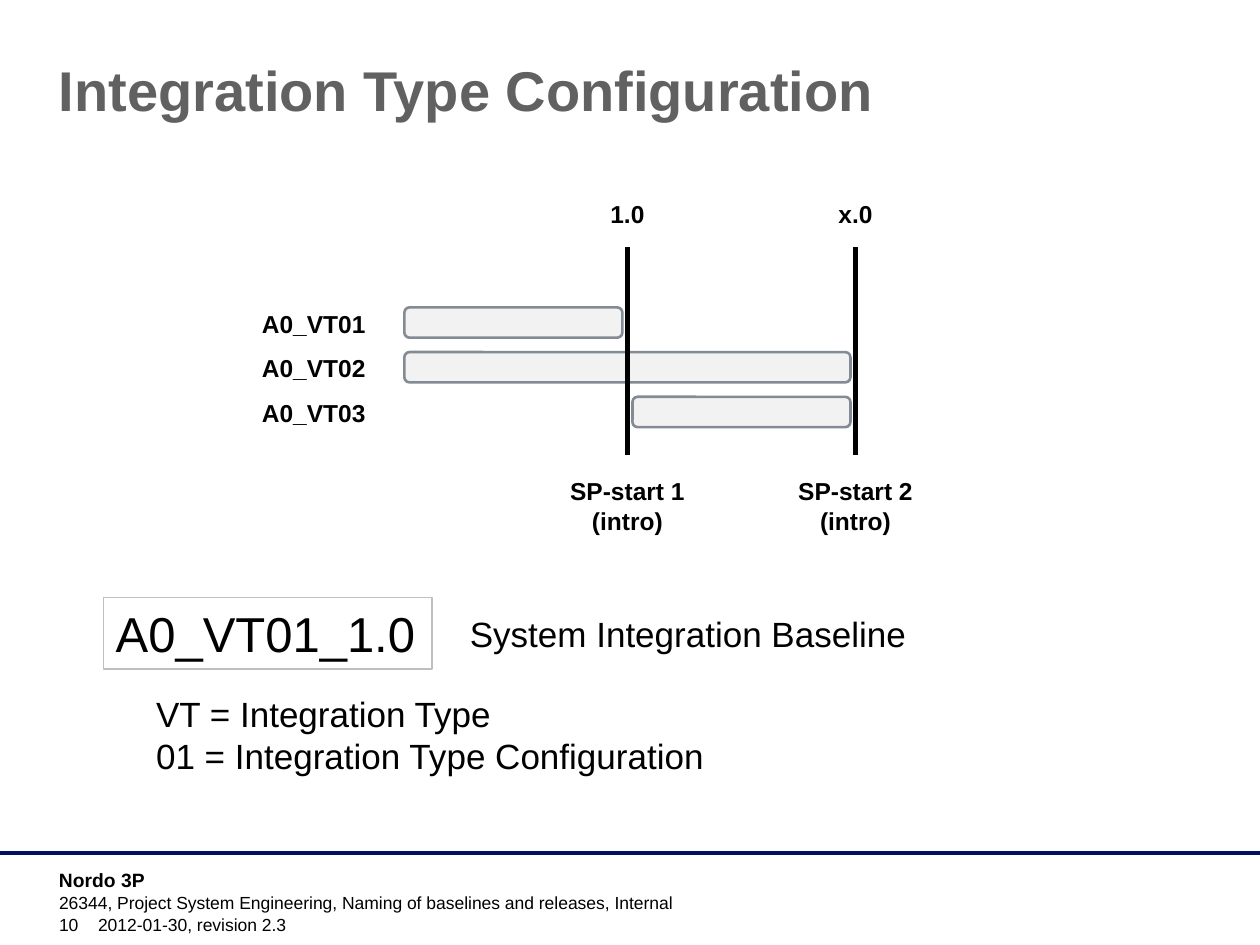
from dataclasses import dataclass

from lxml import etree
from pptx import Presentation
from pptx.dml.color import RGBColor
from pptx.enum.shapes import MSO_CONNECTOR, MSO_SHAPE
from pptx.enum.text import MSO_ANCHOR, PP_ALIGN
from pptx.oxml.ns import qn
from pptx.util import Inches, Pt

BLACK = RGBColor(0x00, 0x00, 0x00)
NAVY = RGBColor(0x00, 0x0F, 0x60)
TITLE_GREY = RGBColor(0x61, 0x61, 0x61)
BAR_FILL = RGBColor(0xF2, 0xF2, 0xF2)
BAR_LINE = RGBColor(0x83, 0x8B, 0x94)
BOX_LINE = RGBColor(0xBF, 0xBF, 0xBF)
LEFT, CENTER = PP_ALIGN.LEFT, PP_ALIGN.CENTER
TOP, BOTTOM = MSO_ANCHOR.TOP, MSO_ANCHOR.BOTTOM
STRAIGHT, ROUNDED = MSO_CONNECTOR.STRAIGHT, MSO_SHAPE.ROUNDED_RECTANGLE

SLIDE_W, SLIDE_H = 10, 7.5
MARGIN = 0.37
# Timeline grid: columns between milestones, one row per configuration
GRID_X, GRID_Y = 3.17, 2.44
COL_W, ROW_H = 1.81, 0.355
BAR_H, BAR_GAP = 0.24, 0.04


@dataclass
class Text:
    """A text box; each line is one paragraph."""
    lines: list[str]
    x: float
    y: float
    w: float
    h: float
    size: int
    bold: bool = False
    color: RGBColor = BLACK
    align: PP_ALIGN = LEFT
    anchor: MSO_ANCHOR = TOP


@dataclass
class Bar:
    """The life of a configuration, from one grid column to another."""
    name: str
    start: int
    end: int


@dataclass
class Milestone:
    """A vertical line at a grid column, with its captions."""
    col: int
    release: str
    event: str


BARS = [Bar("A0_VT01", 0, 1), Bar("A0_VT02", 0, 2), Bar("A0_VT03", 1, 2)]
MILESTONES = [Milestone(1, "1.0", "SP-start 1"),
              Milestone(2, "x.0", "SP-start 2")]
FOOTER = [
    Text(["Nordo 3P"], MARGIN, 6.84, 2.33, 0.24, 11, bold=True),
    Text(["26344, Project System Engineering, "
          "Naming of baselines and releases, Internal"],
         MARGIN, 7.03, 7.52, 0.24, 10),
    Text(["10"], MARGIN, 7.24, 0.55, 0.23, 10, anchor=BOTTOM),
    Text(["2012-01-30, revision 2.3"], 0.68, 7.24, 2.63, 0.23, 10,
         anchor=BOTTOM),
]
TITLE = Text(["Integration Type Configuration"], MARGIN, 0.39, 9, 1.25, 32,
             bold=True, color=TITLE_GREY)
LEGEND = [
    Text(["VT = Integration Type", "01 = Integration Type Configuration"],
         1.14, 5.45, 4.58, 0.77, 20),
    Text(["System Integration Baseline"], 3.63, 4.81, 3.69, 0.44, 20),
]
BASELINE = Text(["A0_VT01_1.0"], 0.82, 4.74, 2.61, 0.57, 28)


def add_text(s, t: Text):
    """Add a text box and return its shape."""
    sp = s.shapes.add_textbox(*map(Inches, (t.x, t.y, t.w, t.h)))
    tf = sp.text_frame
    tf.word_wrap = True
    tf.vertical_anchor = t.anchor
    tf.text = "\n".join(t.lines)
    for p in tf.paragraphs:
        p.alignment = t.align
        p.font.name = "Arial"
        p.font.size = Pt(t.size)
        p.font.bold = t.bold
        p.font.color.rgb = t.color
    return sp


def add_line(s, x1: float, y1: float, x2: float, y2: float,
             color: RGBColor, width: float) -> None:
    """Add a straight line without a shadow."""
    c = s.shapes.add_connector(STRAIGHT, *map(Inches, (x1, y1, x2, y2)))
    c.line.color.rgb = color
    c.line.width = Pt(width)
    etree.SubElement(c._element.spPr, qn("a:effectLst"))


def add_bar(s, bar: Bar, row: int) -> None:
    """Add a configuration's bar and its name at the left."""
    y = GRID_Y + row * ROW_H
    x = GRID_X + bar.start * COL_W + BAR_GAP
    w = (bar.end - bar.start) * COL_W - 2 * BAR_GAP
    sp = s.shapes.add_shape(ROUNDED, *map(Inches, (x, y, w, BAR_H)))
    sp.shadow.inherit = False
    sp.fill.solid()
    sp.fill.fore_color.rgb = BAR_FILL
    sp.line.color.rgb = BAR_LINE
    sp.line.width = Pt(1.5)
    add_text(s, Text([bar.name], 1.98, y - 0.04, 1.11, 0.34, 14, bold=True))


def add_milestone(s, m: Milestone) -> None:
    """Add a milestone line with captions above and below."""
    x = GRID_X + m.col * COL_W
    add_line(s, x, 3.61, x, 1.96, BLACK, 3)
    for lines, y, w, h in (([m.release], 1.53, 0.66, 0.34),
                           ([m.event, "(intro)"], 3.73, 1.4, 0.57)):
        add_text(s, Text(lines, x - w / 2, y, w, h, 14, bold=True,
                         align=CENTER))


def main() -> None:
    """Build the slide and save it."""
    prs = Presentation()
    prs.slide_width, prs.slide_height = Inches(SLIDE_W), Inches(SLIDE_H)
    s = prs.slides.add_slide(prs.slide_layouts[6])
    add_line(s, 0, 6.77, SLIDE_W, 6.77, NAVY, 2)
    for t in [*FOOTER, TITLE]:
        add_text(s, t)
    for row, bar in enumerate(BARS):
        add_bar(s, bar, row)
    for m in MILESTONES:
        add_milestone(s, m)
    for t in LEGEND:
        add_text(s, t)
    box = add_text(s, BASELINE)
    box.line.color.rgb = BOX_LINE
    box.line.width = Pt(0.75)
    prs.save("out.pptx")


main()
